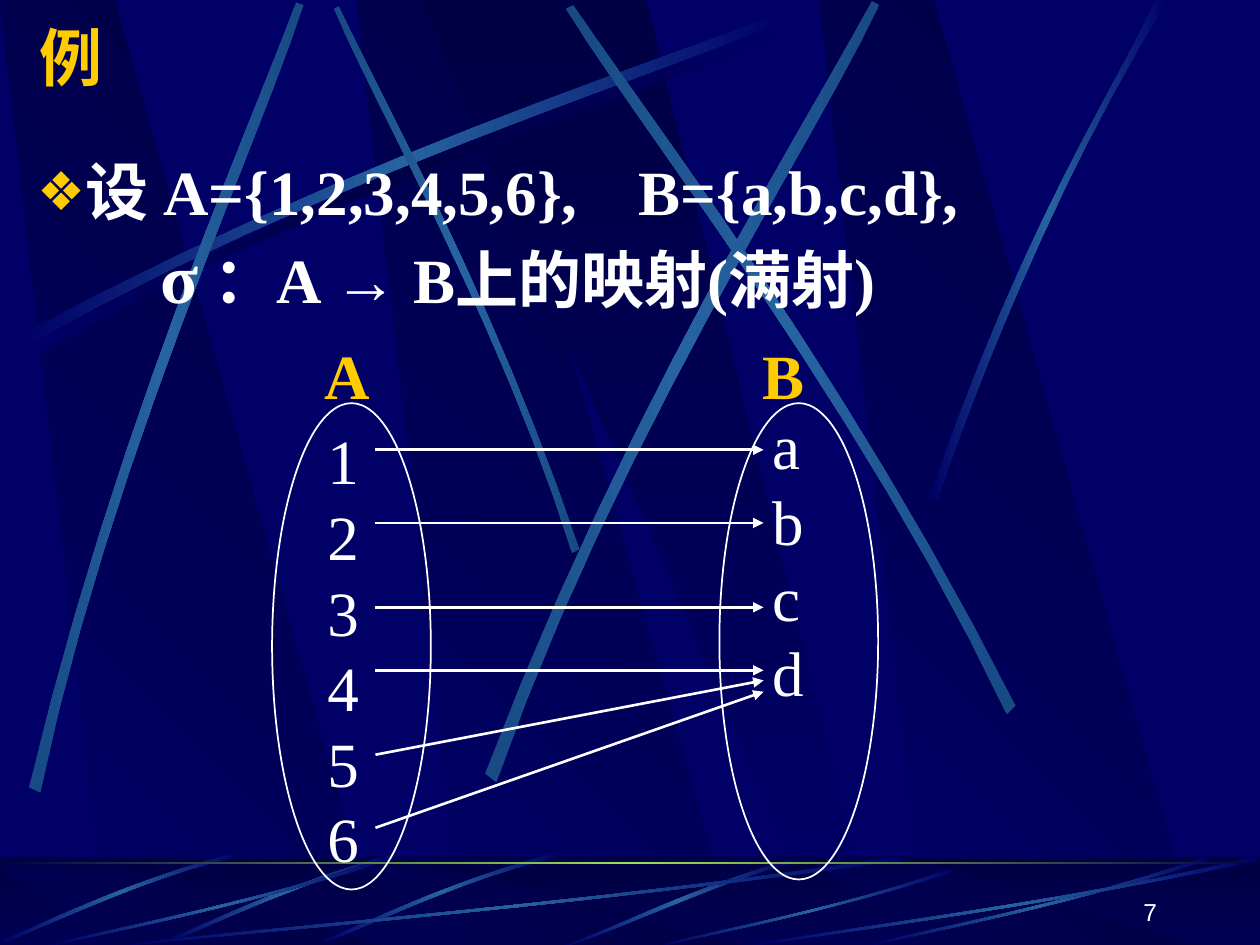
from lxml.etree import SubElement
from pptx import Presentation
from pptx.dml.color import RGBColor
from pptx.enum.shapes import MSO_CONNECTOR, MSO_SHAPE
from pptx.enum.text import MSO_ANCHOR, MSO_AUTO_SIZE, PP_ALIGN
from pptx.oxml.ns import qn
from pptx.util import Cm, Pt

COLORS = {
    "night": "000066", "dark": "000044", "streak": "2663A0", "tip": "184A84",
    "horizon": "9CE157", "text": "FFFFFF", "accent": "FFCC00",
}
PANEL_LEFTS = (2.83, 0, 6.5)

# Each streak: start, two controls, end, then the same for the way back
RISING = [(0.14, 2.67), (2.78, 1.25), (5.18, 0.51), (6.2, 0.1),
          (6.23, 0.16), (5.22, 0.61), (2.48, 1.43), (0.17, 2.77)]
STEEP = [
    [(4.6, 4.36), (3.91, 2.34), (3.02, 0.77), (2.69, 0.05),
     (2.65, 0.07), (2.95, 0.79), (3.98, 2.58), (4.54, 4.39)],
    [(0.23, 6.25), (0.93, 3.34), (1.97, 1.05), (2.35, 0.02),
     (2.41, 0.04), (2.07, 1.09), (0.86, 3.68), (0.32, 6.29)],
    [(3.85, 6.14), (4.98, 3.2), (6.38, 1.02), (6.92, 0.01),
     (6.98, 0.04), (6.49, 1.08), (4.86, 3.55), (3.94, 6.21)],
    [(8.06, 5.6), (6.7, 2.93), (5.16, 0.95), (4.55, 0.04),
     (4.49, 0.07), (5.07, 1.01), (6.85, 3.25), (7.99, 5.67)],
]
CORNER = [(7.38, 3.94), (8.14, 1.73), (8.88, 0.66), (9.17, 0),
          (9.27, 0), (8.36, 1.45), (7.69, 3.22), (7.44, 3.97)]
FLOOR_BEND = [(6.27, 6.82), (5.37, 7.09), (4.77, 7.42), (4.48, 7.5),
              (4.53, 7.5), (4.9, 7.38), (5.71, 7), (6.28, 6.85)]
FLOOR_SHORT = [(1.86, 6.77), (0.99, 7), (0.33, 7.34), (0.02, 7.46),
               (0.03, 7.48), (0.34, 7.37), (1.1, 6.98), (1.88, 6.8)]
# In fractions of a box
SWEEP = [(1, 0.04), (0.57, 0.57), (0.17, 0.85), (0.01, 1),
         (0, 0.99), (0.17, 0.81), (0.62, 0.51), (0.99, 0)]
SWEEP_BOXES = [(1, 6.8, 6.17), (0.42, 6.8, 2.67), (5.27, 6.89, 2.31),
               (6.92, 6.8, 2.67), (6, 6.8, 4)]
# Heights where each mapping arrow starts and ends
ARROWS = [(3.57, 3.57), (4.15, 4.15), (4.82, 4.82),
          (5.32, 5.32), (5.99, 5.4), (6.57, 5.49)]


def length(inches):
    return Cm(inches * 2.54)


def color(name):
    return RGBColor.from_string(COLORS[name])


def write(para, text, size=36, font="Times New Roman", tint="text", bold=False):
    span = para.add_run()
    span.text = text
    span.font.size = Pt(size)
    span.font.name = font
    span.font.bold = bold
    span.font.color.rgb = color(tint)


def shifted(points, across, down=0):
    return [(x + across, y + down) for x, y in points]


def curve(a, b, c, d, steps=12):
    for step in range(steps + 1):
        t = step / steps
        u = 1 - t
        yield tuple(u**3 * p + 3 * u * u * t * q + 3 * u * t * t * r + t**3 * s
                    for p, q, r, s in zip(a, b, c, d))


class SlideBuilder:
    def __init__(self, page):
        self.page = page
        self.shapes = page.shapes

    def paint(self, shape, names, angle=0, alpha=None):
        shape.shadow.inherit = False
        shape.line.fill.background()
        shape.fill.gradient()
        shape.fill.gradient_angle = -angle % 360
        stops = shape.element.spPr.find(qn("a:gradFill")).find(qn("a:gsLst"))
        for stop in list(stops):
            stops.remove(stop)
        for index, name in enumerate(names):
            position = 100000 * index // (len(names) - 1)
            stop = SubElement(stops, qn("a:gs"), pos=str(position))
            tint = SubElement(stop, qn("a:srgbClr"), val=COLORS[name])
            if alpha:
                SubElement(tint, qn("a:alpha"), val=str(alpha * 1000))

    def outline(self, points, names, angle=0):
        corners = [(length(x), length(y)) for x, y in points]
        builder = self.shapes.build_freeform(*corners[0], scale=1.0)
        builder.add_line_segments(corners[1:], close=True)
        self.paint(builder.convert_to_shape(), names, angle)

    def streak(self, points, middle="streak", ends="night"):
        edge = [*curve(*points[:4]), *curve(*points[4:])]
        self.outline(edge, (ends, middle, ends))

    def panels(self, top, bottom):
        for left in PANEL_LEFTS:
            self.outline([(left + 0.86, bottom), (left + 3.02, bottom),
                          (left + 0.91, top), (left, top)], ("night", "dark"), 315)
        self.outline([(3.33, top), (6.58, bottom), (6.94, bottom), (5.13, top)],
                     ("dark", "night"), 90)

    def band(self, top, height, names, angle=0, alpha=None):
        band = self.shapes.add_shape(MSO_SHAPE.RECTANGLE, 0, length(top),
                                     length(10), length(height))
        self.paint(band, names, angle, alpha)

    def ellipse(self, left, top, width, height):
        oval = self.shapes.add_shape(MSO_SHAPE.OVAL, *map(length, (left, top, width, height)))
        oval.shadow.inherit = False
        oval.fill.background()
        oval.line.color.rgb = color("text")
        oval.line.width = Pt(1)

    def arrow(self, start, end):
        line = self.shapes.add_connector(MSO_CONNECTOR.STRAIGHT, *map(length, (*start, *end)))
        line.line.color.rgb = color("text")
        line.line.width = Pt(1.5)
        SubElement(line.line._get_or_add_ln(), qn("a:tailEnd"), type="triangle")
        SubElement(line.element.spPr, qn("a:effectLst"))

    def label(self, at, lines, wrap=False, align=PP_ALIGN.LEFT, anchor=MSO_ANCHOR.TOP,
              spacing=None, **style):
        frame = self.shapes.add_textbox(*map(length, at)).text_frame
        frame.word_wrap = wrap
        frame.vertical_anchor = anchor
        for index, text in enumerate(lines):
            para = frame.add_paragraph() if index else frame.paragraphs[0]
            para.alignment = align
            if spacing:
                para.line_spacing = Pt(spacing)
            write(para, text, **style)

    def placeholder(self, index, at, anchor):
        box = self.page.placeholders[index]
        box.left, box.top, box.width, box.height = map(length, at)
        box.element.getparent().append(box.element)  # in front of the backdrop
        box.text_frame.auto_size = MSO_AUTO_SIZE.NONE
        box.text_frame.vertical_anchor = anchor
        return box.text_frame

    def indent(self, para, margin, hanging=0, bullet=None, tab=None):
        props = para._p.get_or_add_pPr()
        props.set("marL", str(length(margin)))
        props.set("indent", str(-length(hanging)))
        para.line_spacing = 0.9
        para.space_before = Pt(0 if bullet else 8)
        if bullet:
            tint = SubElement(props, qn("a:buClr"))
            SubElement(tint, qn("a:srgbClr"), val=COLORS["accent"])
            SubElement(props, qn("a:buSzPct"), val="85000")
            SubElement(props, qn("a:buChar"), char=bullet)
        else:
            SubElement(props, qn("a:buNone"))
        if tab:
            stops = SubElement(props, qn("a:tabLst"))
            SubElement(stops, qn("a:tab"), pos=str(length(tab)), algn="l")


def main():
    deck = Presentation()
    deck.slide_width, deck.slide_height = Cm(25.4), Cm(19.05)
    page = deck.slides.add_slide(deck.slide_layouts[1])
    page.background.fill.solid()
    page.background.fill.fore_color.rgb = color("night")
    slide = SlideBuilder(page)

    # Backdrop: panels and crossing streaks
    slide.panels(0, 7.5)
    slide.streak(shifted(RISING, 0.06, 0.08), middle="dark")
    slide.streak(RISING)
    for points in STEEP:
        slide.streak(points, ends="tip")
    slide.streak(CORNER)

    # Backdrop: floor below the horizon
    slide.band(6.8, 0.7, ("dark", "night"), 90)
    slide.panels(6.88, 7.5)
    slide.band(6.8, 0.7, ("dark", "dark"), alpha=50)
    slide.streak(FLOOR_BEND)
    for across in (2.55, 1.3, 0):
        slide.streak(shifted(FLOOR_SHORT, across))
    for left, top, width in SWEEP_BOXES:
        slide.streak([(left + x * width, top + y * (7.5 - top)) for x, y in SWEEP])
    slide.band(6.84, 0.02, ("dark", "horizon", "dark"))

    # Title and definition
    title = slide.placeholder(0, (0.21, 0.09, 9.64, 0.71), MSO_ANCHOR.MIDDLE)
    title.paragraphs[0].alignment = PP_ALIGN.LEFT
    write(title.paragraphs[0], "例", tint="accent", bold=True)

    body = slide.placeholder(1, (0.2, 1.23, 9.47, 1.5), MSO_ANCHOR.TOP)
    para = body.paragraphs[0]
    slide.indent(para, 0.38, hanging=0.38, bullet="❖", tab=4.77)
    write(para, "设 A={1,2,3,4,5,6},\tB={a,b,c,d},", bold=True)
    para = body.add_paragraph()
    slide.indent(para, 0.97)
    write(para, "σ", size=40, bold=True)
    write(para, " ：A → B上的映射(满射)", bold=True)

    # Mapping diagram
    slide.label((2.5, 3.3, 0.45, 3.7), "123456", spacing=43.2)
    slide.label((6.03, 3.18, 0.45, 2.5), "abcd", spacing=43.2)
    for left, name in ((2.48, "A"), (5.95, "B")):
        slide.label((left, 2.62, 0.55, 0.7), name, tint="accent", bold=True)
    for start, end in ARROWS:
        slide.arrow((2.98, start), (6.06, end))
    slide.ellipse(2.16, 3.2, 1.26, 3.86)
    slide.ellipse(5.71, 3.2, 1.26, 3.78)

    # Page number
    slide.label((7.2, 6.9, 2.08, 0.5), "7", wrap=True, align=PP_ALIGN.RIGHT,
                anchor=MSO_ANCHOR.BOTTOM, size=14, font="Arial")
    deck.save("out.pptx")


if __name__ == "__main__":
    main()
